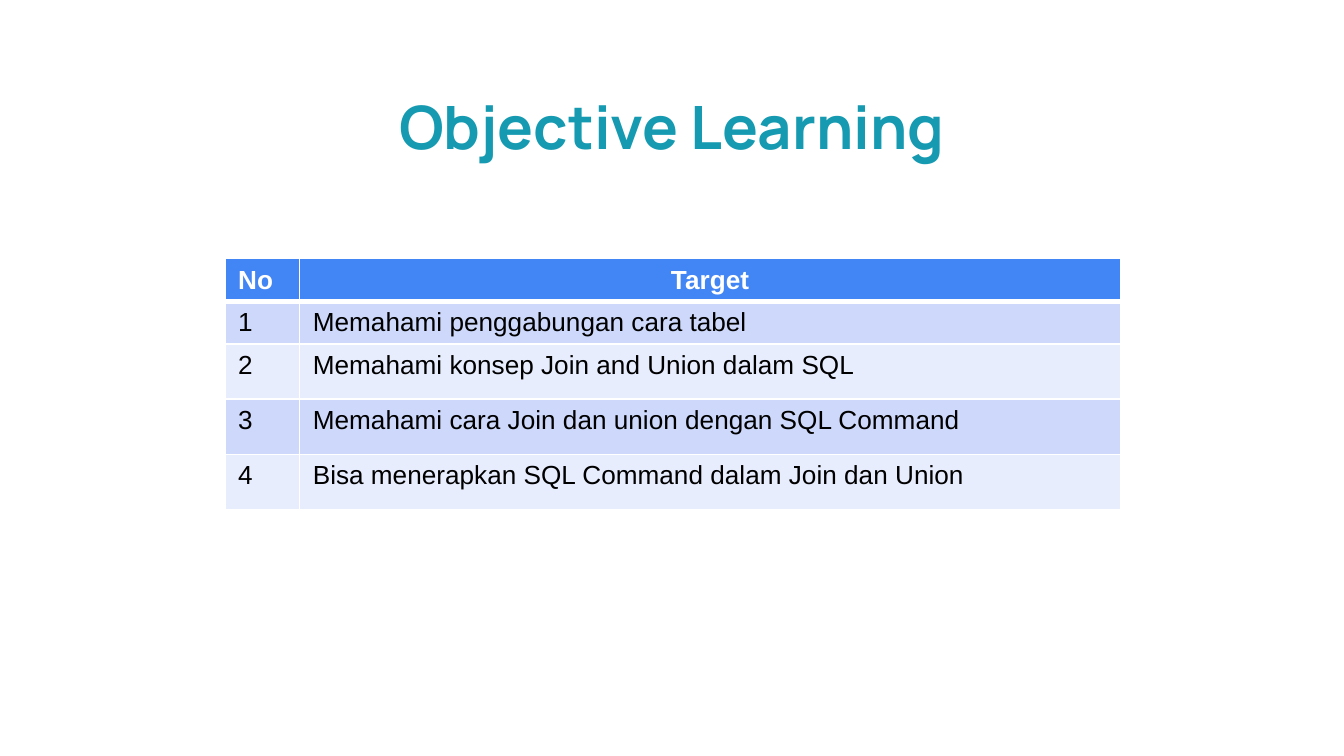
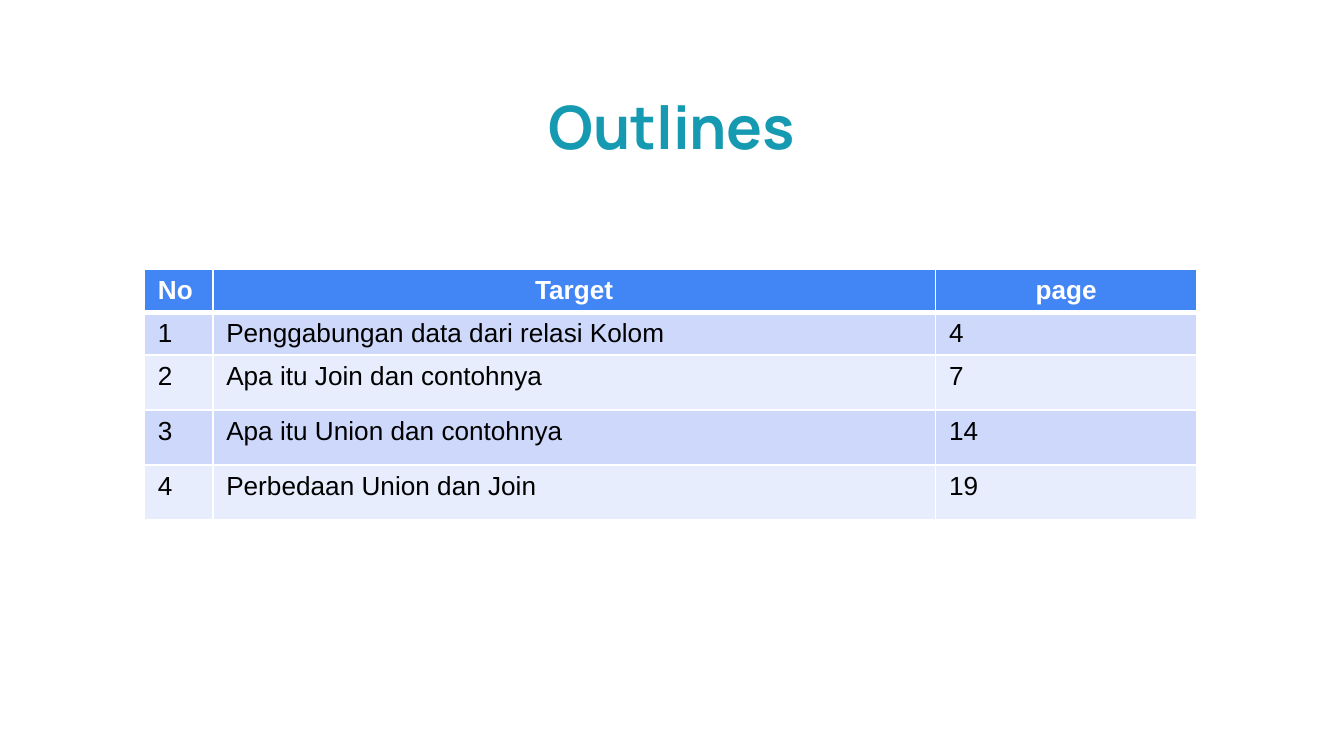
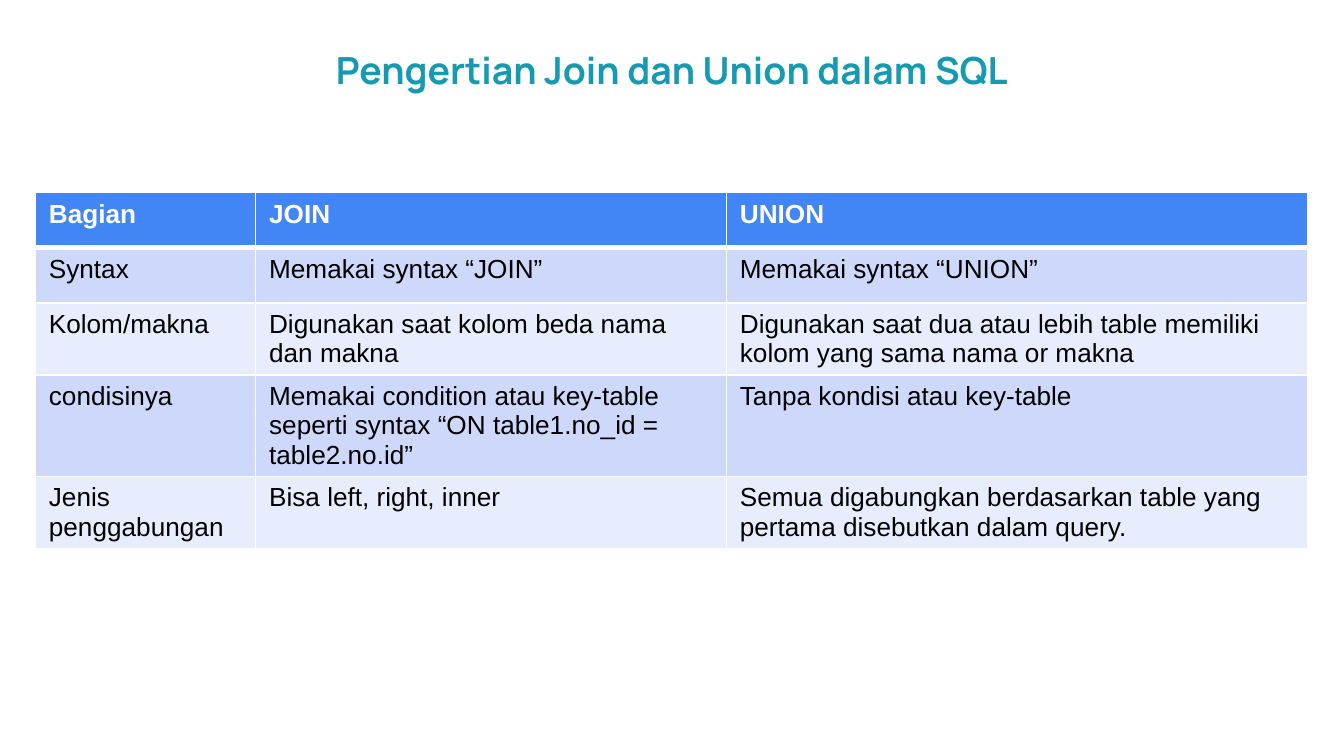
import lxml.etree
import pptx
import pptx.dml.color
import pptx.enum.text
import pptx.oxml.ns
import pptx.util

Pt = pptx.util.Pt
RGBColor = pptx.dml.color.RGBColor
PP_ALIGN = pptx.enum.text.PP_ALIGN

TEAL = RGBColor(0x15, 0x9A, 0xB1)
HEADER_BLUE = RGBColor(0x42, 0x85, 0xF4)
BAND_DARK = RGBColor(0xCD, 0xD8, 0xFB)
BAND_LIGHT = RGBColor(0xE8, 0xED, 0xFD)
WHITE = RGBColor(0xFF, 0xFF, 0xFF)
BLACK = RGBColor(0x00, 0x00, 0x00)

LOW_ROW = 13.7
ROW = 29.5
TITLE_LEFT, TITLE_WIDTH, TITLE_HEIGHT = 162.7, 394.6, 36

SLIDES = [
    {
        "title": "Objective Learning", "title_top": 45.4, "title_size": 32,
        "table_at": (120.4, 138.5),
        "columns": [40, 440],
        "heights": [LOW_ROW, LOW_ROW, ROW, ROW, ROW],
        "centred_headers": ["Target"],
        "rows": [
            ["No", "Target"],
            ["1", "Memahami penggabungan cara tabel"],
            ["2", "Memahami konsep Join and Union dalam SQL"],
            ["3", "Memahami cara Join dan union dengan SQL Command"],
            ["4", "Bisa menerapkan SQL Command dalam Join dan Union"],
        ],
    },
    {
        "title": "Outlines", "title_top": 45.4, "title_size": 32,
        "table_at": (77.4, 144.3),
        "columns": [36.6, 387.2, 140],
        "heights": [LOW_ROW, LOW_ROW, ROW, ROW, ROW],
        "centred_headers": ["Target", "page"],
        "rows": [
            ["No", "Target", "page"],
            ["1", "Penggabungan data dari relasi Kolom", "4"],
            ["2", "Apa itu Join dan contohnya", "7"],
            ["3", "Apa itu Union dan contohnya", "14"],
            ["4", "Perbedaan Union dan Join", "19"],
        ],
    },
    {
        "title": "Pengertian Join dan Union dalam SQL", "title_top": 23, "title_size": 20,
        "table_at": (19, 103.2),
        "columns": [118, 252.2, 311.6],
        "heights": [ROW] * 5,
        "centred_headers": [],
        "rows": [
            ["Bagian", "JOIN", "UNION"],
            ["Syntax", "Memakai syntax “JOIN”", "Memakai syntax “UNION”"],
            ["Kolom/makna", "Digunakan saat kolom beda nama dan makna",
             "Digunakan saat dua atau lebih table memiliki kolom yang sama nama or makna"],
            ["condisinya",
             "Memakai condition atau key-table seperti syntax “ON table1.no_id = table2.no.id”",
             "Tanpa kondisi atau key-table"],
            ["Jenis penggabungan", "Bisa left, right, inner",
             "Semua digabungkan berdasarkan table yang pertama disebutkan dalam query."],
        ],
    },
]


def format_text(paragraph, font_name, size, color, bold):
    for run in paragraph.runs:
        run.font.name = font_name
        run.font.size = Pt(size)
        run.font.color.rgb = color
        run.font.bold = bold


def add_border(cell, side, width):
    qn = pptx.oxml.ns.qn
    properties = cell._tc.get_or_add_tcPr()
    line = lxml.etree.SubElement(properties, qn("a:ln" + side), w=str(Pt(width)))
    fill = lxml.etree.SubElement(line, qn("a:solidFill"))
    lxml.etree.SubElement(fill, qn("a:srgbClr"), val=str(WHITE))


presentation = pptx.Presentation()
presentation.slide_width = Pt(720)
presentation.slide_height = Pt(405)

for content in SLIDES:
    slide = presentation.slides.add_slide(presentation.slide_layouts[5])
    slide.background.fill.solid()
    slide.background.fill.fore_color.rgb = WHITE

    title = slide.shapes.title
    title.left, title.top = Pt(TITLE_LEFT), Pt(content["title_top"])
    title.width, title.height = Pt(TITLE_WIDTH), Pt(TITLE_HEIGHT)
    text_frame = title.text_frame
    text_frame.text = content["title"]
    text_frame.word_wrap = True
    text_frame.auto_size = pptx.enum.text.MSO_AUTO_SIZE.NONE
    text_frame.vertical_anchor = pptx.enum.text.MSO_ANCHOR.TOP
    text_frame.margin_left = text_frame.margin_right = Pt(5)
    text_frame.margin_top = text_frame.margin_bottom = Pt(2.5)
    paragraph = text_frame.paragraphs[0]
    paragraph.alignment = PP_ALIGN.CENTER
    paragraph.space_before = Pt(5)
    paragraph.space_after = Pt(12)
    format_text(paragraph, "Manrope", content["title_size"], TEAL, True)

    rows, columns, heights = content["rows"], content["columns"], content["heights"]
    left, top = content["table_at"]
    table = slide.shapes.add_table(
        len(rows), len(columns), Pt(left), Pt(top), Pt(sum(columns)), Pt(sum(heights))
    ).table
    for column, width in zip(table.columns, columns):
        column.width = Pt(width)
    for row, height in zip(table.rows, heights):
        row.height = Pt(height)

    for row_index, row in enumerate(rows):
        is_header = row_index == 0
        band = BAND_DARK if row_index % 2 else BAND_LIGHT
        for column_index, text in enumerate(row):
            cell = table.cell(row_index, column_index)
            cell.text = text
            cell.margin_left = cell.margin_right = Pt(7.2)
            cell.margin_top = cell.margin_bottom = Pt(3.6)
            add_border(cell, "L", 1)
            add_border(cell, "R", 1)
            add_border(cell, "T", 3 if row_index == 1 else 1)
            add_border(cell, "B", 3 if is_header else 1)
            cell.fill.solid()
            cell.fill.fore_color.rgb = HEADER_BLUE if is_header else band
            paragraph = cell.text_frame.paragraphs[0]
            if is_header and text in content["centred_headers"]:
                paragraph.alignment = PP_ALIGN.CENTER
            format_text(paragraph, "Arial", 14, WHITE if is_header else BLACK, is_header)

presentation.save("out.pptx")
